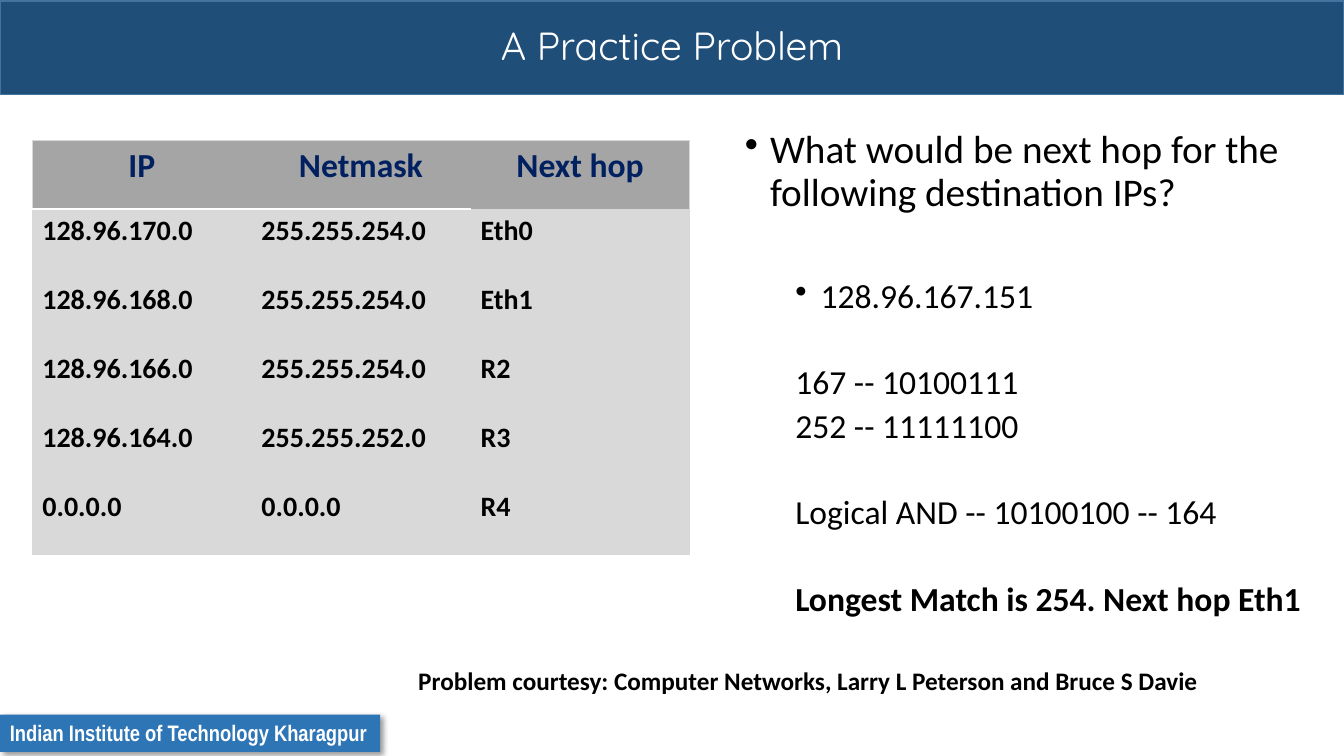
from pptx import Presentation
from pptx.dml.color import RGBColor
from pptx.enum.shapes import MSO_SHAPE
from pptx.enum.text import MSO_ANCHOR, PP_ALIGN
from pptx.oxml import parse_xml
from pptx.oxml.ns import nsdecls, qn
from pptx.util import Inches, Pt

NAVY = RGBColor(0x1F, 0x4E, 0x79)
BAR_EDGE = RGBColor(0x43, 0x73, 0x9E)
BLUE = RGBColor(0x2E, 0x75, 0xB6)
HEAD_TEXT = RGBColor(0x00, 0x20, 0x60)
HEAD_FILL = RGBColor(0xA5, 0xA5, 0xA5)
CELL_FILL = RGBColor(0xD9, 0xD9, 0xD9)
GRID = RGBColor(0xD8, 0xD8, 0xD8)
WHITE = RGBColor(0xFF, 0xFF, 0xFF)
BLACK = RGBColor(0x00, 0x00, 0x00)
NO_TABLE_STYLE = "{2D5ABB26-0587-4C30-8999-92F81FD0307C}"

ROUTES = [
    ("IP", "Netmask", "Next hop"),
    ("128.96.170.0", "255.255.254.0", "Eth0"),
    ("128.96.168.0", "255.255.254.0", "Eth1"),
    ("128.96.166.0", "255.255.254.0", "R2"),
    ("128.96.164.0", "255.255.252.0", "R3"),
    ("0.0.0.0", "0.0.0.0", "R4"),
]
STEPS = [
    ("What would be next hop for the following destination IPs?",
     dict(size=28, left=0.25, bullet=True)),
    ("128.96.167.151", dict(left=0.75, bullet=True, before=46, level=1)),
    ("167 -- 10100111", dict(left=0.5, before=36, level=1)),
    ("252 -- 11111100", dict(left=0.5, before=5, level=1)),
    ("Logical AND -- 10100100 -- 164", dict(left=0.5, before=36, level=1)),
    ("Longest Match is 254. Next hop Eth1",
     dict(left=0.5, before=36, level=1, bold=True)),
]


def write(p, text, size=24, font="Calibri", color=BLACK, bold=False,
          align=PP_ALIGN.LEFT, spacing=1.0, before=0, left=0, bullet=False,
          level=0):
    p.level = level
    pPr = p._p.get_or_add_pPr()
    pPr.set("marL", str(Inches(left)))
    pPr.set("indent", str(Inches(-0.25 if bullet else 0)))
    mark = '<a:buChar %s char="•"/>' if bullet else "<a:buNone %s/>"
    pPr.append(parse_xml(mark % nsdecls("a")))
    p.alignment = align
    p.line_spacing = spacing
    p.space_before = Pt(before)
    r = p.add_run()
    r.text = text
    r.font.size = Pt(size)
    r.font.name = font
    r.font.bold = bold
    r.font.color.rgb = color


def add_bar(s, box, fill, edge=None):
    sp = s.shapes.add_shape(MSO_SHAPE.RECTANGLE, *map(Inches, box))
    sp.shadow.inherit = False
    sp.fill.solid()
    sp.fill.fore_color.rgb = fill
    if edge is None:
        sp.line.fill.background()
    else:
        sp.line.color.rgb = edge
        sp.line.width = Pt(1)
    return sp


def add_text(s, box, wrap=True, anchor=MSO_ANCHOR.TOP):
    tf = s.shapes.add_textbox(*map(Inches, box)).text_frame
    tf.word_wrap = wrap
    tf.vertical_anchor = anchor
    return tf


def add_footer(s):
    sp = add_bar(s, (0, 7.09, 3.77, 0.37), BLUE)
    effects = sp._element.spPr.find(qn("a:effectLst"))
    effects.append(parse_xml(
        f'<a:outerShdw {nsdecls("a")} blurRad="{Pt(4)}" dist="{Pt(3)}" '
        'dir="2700000" algn="tl" rotWithShape="0"><a:srgbClr val="000000">'
        '<a:alpha val="40000"/></a:srgbClr></a:outerShdw>'))
    tf = sp.text_frame
    tf.word_wrap = False
    tf.vertical_anchor = MSO_ANCHOR.TOP
    write(tf.paragraphs[0], "Indian Institute of Technology Kharagpur",
          size=16, font="Arial Narrow", color=WHITE, bold=True)


def set_borders(cell, edges):
    tcPr = cell._tc.get_or_add_tcPr()
    for side in "LRTB":
        if side in edges:
            color, width = edges[side]
            line = (f'w="{Pt(width)}"><a:solidFill><a:srgbClr val="{color}"/>'
                    "</a:solidFill>")
        else:
            line = 'w="0"><a:noFill/>'
        tcPr.append(parse_xml(f'<a:ln{side} {nsdecls("a")} {line}</a:ln{side}>'))


def add_routes(s):
    rows, cols = len(ROUTES), len(ROUTES[0])
    box = map(Inches, (0.32, 1.39, 6.52, 4.11))
    table = s.shapes.add_table(rows, cols, *box).table
    table._tbl.tblPr.find(qn("a:tableStyleId")).text = NO_TABLE_STYLE
    table.horz_banding = False
    for i, route in enumerate(ROUTES):
        for j, text in enumerate(route):
            cell = table.cell(i, j)
            head = i == 0
            outer = {"L": j == 0, "R": j == cols - 1, "T": head,
                     "B": i == rows - 1}
            edges = {side: (GRID, 0.5) for side, on in outer.items() if on}
            if j < cols - 1 and i < 2:
                edges["B" if head else "T"] = (WHITE, 1.5)
            set_borders(cell, edges)
            cell.fill.solid()
            cell.fill.fore_color.rgb = HEAD_FILL if head else CELL_FILL
            write(cell.text_frame.paragraphs[0], text, bold=True,
                  size=24 if head else 20,
                  color=HEAD_TEXT if head else BLACK,
                  align=PP_ALIGN.CENTER if head else PP_ALIGN.LEFT)


def add_steps(s):
    tf = add_text(s, (7.29, 1.24, 5.74, 5.85))
    for i, (text, style) in enumerate(STEPS):
        p = tf.add_paragraph() if i else tf.paragraphs[0]
        write(p, text, spacing=0.9, **style)


def main():
    prs = Presentation()
    prs.slide_width, prs.slide_height = Inches(13.33), Inches(7.5)
    s = prs.slides.add_slide(prs.slide_layouts[6])
    title_box = (0, 0.01, 13.33, 0.93)
    add_bar(s, title_box, NAVY, BAR_EDGE)
    add_footer(s)
    tf = add_text(s, title_box, anchor=MSO_ANCHOR.MIDDLE)
    write(tf.paragraphs[0], "A Practice Problem", size=28, font="Quicksand",
          color=WHITE, align=PP_ALIGN.CENTER, spacing=0.9)
    add_steps(s)
    add_routes(s)
    tf = add_text(s, (4.05, 6.55, 8, 0.4), wrap=False)
    write(tf.paragraphs[0],
          "Problem courtesy: Computer Networks, Larry L Peterson and Bruce S Davie",
          size=18, bold=True)
    prs.save("out.pptx")


if __name__ == "__main__":
    main()
